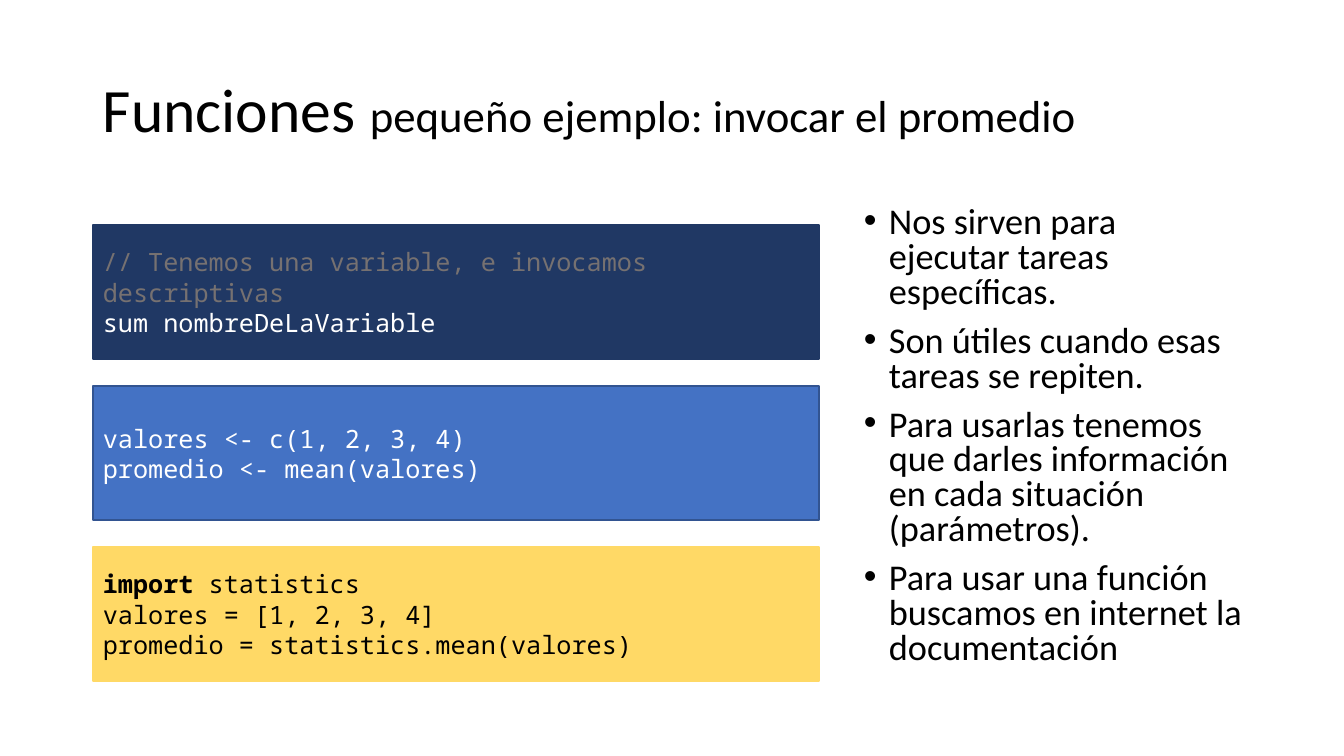
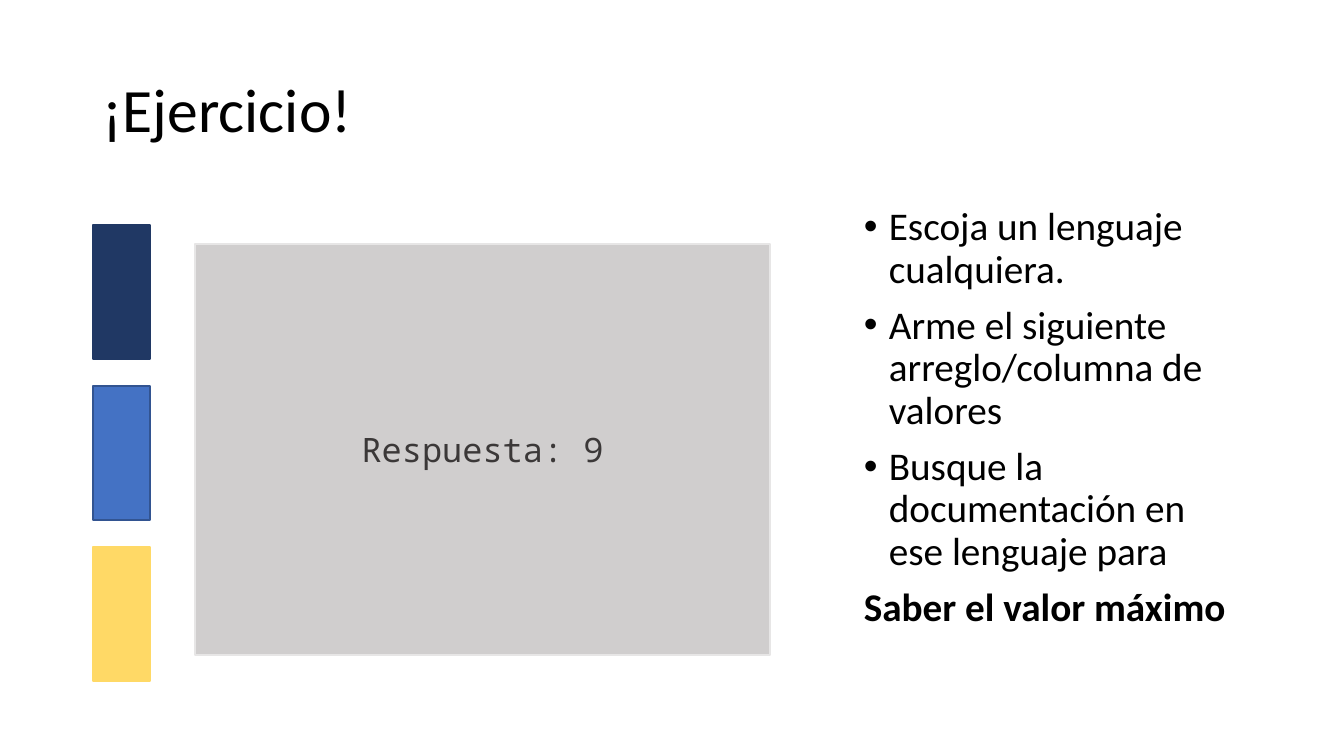
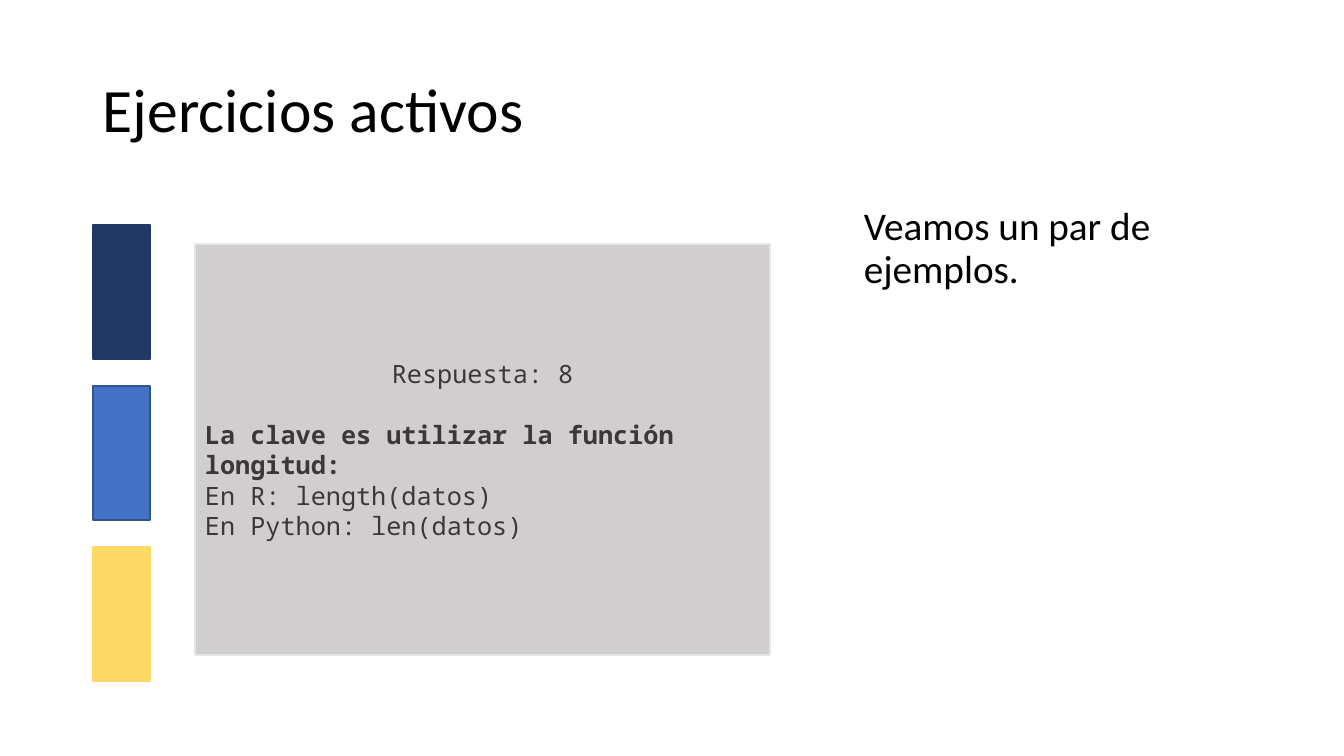
from lxml.etree import SubElement
from pptx import Presentation
from pptx.dml.color import RGBColor
from pptx.enum.shapes import MSO_SHAPE
from pptx.enum.text import MSO_ANCHOR, PP_ALIGN
from pptx.oxml.ns import qn
from pptx.util import Pt

SCALE = 914400 / 100.8
SANS, MONO = "Calibri", "Noto Sans Mono"
BLACK, WHITE, COMMENT, ANSWER = "000000", "FFFFFF", "767171", "3B3838"

TITLE_BOX = (93, 40, 1159, 146)
POINTS_BOX = (854, 202, 398, 480)
CARD_BOX = (195, 244, 575, 411)
CARD_COLORS = ("D0CECE", "E7E6E6")
BAND_LEFT, BAND_TOP, BAND_STEP, BAND_HEIGHT = 93, 225, 161, 134
CODE_WIDTH, TAB_WIDTH = 726, 57
BULLET_INDENT = 25
BAND_COLORS = [("203864", "203864"), ("4472C4", "325491"), ("FFD966", "FFD966")]

CODE = [
    [{"runs": [("// Tenemos una variable, e invocamos descriptivas", {"color": COMMENT})]},
     {"runs": [("sum nombreDeLaVariable", {"color": WHITE})]}],
    [{"runs": [("valores <- c(1, 2, 3, 4)", {"color": WHITE})]},
     {"runs": [("promedio <- mean(valores)", {"color": WHITE})]}],
    [{"runs": [("import", {"bold": True}), (" statistics", {})]},
     "valores = [1, 2, 3, 4]",
     "promedio = statistics.mean(valores)"],
]

SLIDES = [
    {"title": [("Funciones ", {}),
               ("pequeño ejemplo: invocar el promedio", {"size": 32})],
     "code": CODE,
     "points": [
         {"text": "Nos sirven para ejecutar tareas específicas.", "bullet": True},
         {"text": "Son útiles cuando esas tareas se repiten.", "bullet": True},
         {"text": "Para usarlas tenemos que darles información en cada situación "
                  "(parámetros).", "bullet": True},
         {"text": "Para usar una función buscamos en internet la documentación",
          "bullet": True}],
     "points_format": {"size": 25.9, "line_spacing": 0.8}},
    {"title": [("¡Ejercicio!", {})],
     "answer": [{"text": "Respuesta: 9", "align": PP_ALIGN.CENTER}],
     "answer_size": 24,
     "points": [
         {"text": "Escoja un lenguaje cualquiera.", "bullet": True},
         {"text": "Arme el siguiente arreglo/columna de valores", "bullet": True},
         {"text": "Busque la documentación en ese lenguaje para", "bullet": True},
         {"runs": [("Saber el valor máximo", {"bold": True})]}]},
    {"title": [("Ejercicios activos", {})],
     "answer": [
         {"text": "Respuesta: 8", "align": PP_ALIGN.CENTER},
         {"runs": [("La clave es utilizar la función longitud:", {"bold": True})],
          "space_before": 22},
         "En R: length(datos)",
         "En Python: len(datos)"],
     "answer_size": 18,
     "points": ["Veamos un par de ejemplos."]},
]


def px(length):
    """Turn pixels into EMU."""
    return round(length * SCALE)


def rgb(color):
    """Turn a hex string into a colour."""
    return RGBColor.from_string(color)


def add_bullet(paragraph):
    """Give a paragraph a hanging round bullet."""
    properties = paragraph._p.get_or_add_pPr()
    properties.set("marL", str(px(BULLET_INDENT)))
    properties.set("indent", str(-px(BULLET_INDENT)))
    SubElement(properties, qn("a:buFont"), typeface="Arial")
    SubElement(properties, qn("a:buChar"), char="•")


def write(shape, lines, font=SANS, size=28, color=BLACK, line_spacing=None,
          space_before=0, anchor=MSO_ANCHOR.TOP):
    """Write lines of text, each a string or a dict of runs and format."""
    frame = shape.text_frame
    frame.word_wrap = True
    frame.vertical_anchor = anchor
    for index, line in enumerate(lines):
        line = {"text": line} if isinstance(line, str) else line
        paragraph = frame.add_paragraph() if index else frame.paragraphs[0]
        paragraph.alignment = line.get("align", PP_ALIGN.LEFT)
        paragraph.space_before = Pt(line.get("space_before", space_before))
        if line_spacing:
            paragraph.line_spacing = line_spacing
        if line.get("bullet"):
            add_bullet(paragraph)
        for words, style in line.get("runs") or [(line["text"], {})]:
            run = paragraph.add_run()
            run.text = words
            run.font.name = font
            run.font.size = Pt(style.get("size", size))
            run.font.bold = style.get("bold", False)
            run.font.color.rgb = rgb(style.get("color", color))


def add_text(slide, box, lines, **format):
    """Add a text box."""
    write(slide.shapes.add_textbox(*map(px, box)), lines, **format)


def add_panel(slide, box, colors, lines=(), **format):
    """Add a filled rectangle with monospaced text in its middle."""
    fill, line = colors
    panel = slide.shapes.add_shape(MSO_SHAPE.RECTANGLE, *map(px, box))
    panel.shadow.inherit = False
    panel.fill.solid()
    panel.fill.fore_color.rgb = rgb(fill)
    panel.line.color.rgb = rgb(line)
    panel.line.width = Pt(1)
    write(panel, lines, font=MONO, anchor=MSO_ANCHOR.MIDDLE, **format)


def add_bands(slide, code):
    """Stack one band per language, wide with code or narrow without."""
    width = CODE_WIDTH if code else TAB_WIDTH
    for index, colors in enumerate(BAND_COLORS):
        box = (BAND_LEFT, BAND_TOP + index * BAND_STEP, width, BAND_HEIGHT)
        add_panel(slide, box, colors, code[index] if code else (), size=18)


def build(deck, content):
    """Build one slide from its content."""
    slide = deck.slides.add_slide(deck.slide_layouts[6])
    add_text(slide, TITLE_BOX, [{"runs": content["title"]}], size=44,
             line_spacing=0.9, anchor=MSO_ANCHOR.MIDDLE)
    add_bands(slide, content.get("code"))
    if "answer" in content:
        add_panel(slide, CARD_BOX, CARD_COLORS, content["answer"],
                  size=content["answer_size"], color=ANSWER)
    points_format = {"line_spacing": 0.9, **content.get("points_format", {})}
    add_text(slide, POINTS_BOX, content["points"], space_before=10, **points_format)


deck = Presentation()
deck.slide_width, deck.slide_height = px(1344), px(756)
for content in SLIDES:
    build(deck, content)
deck.save("out.pptx")
